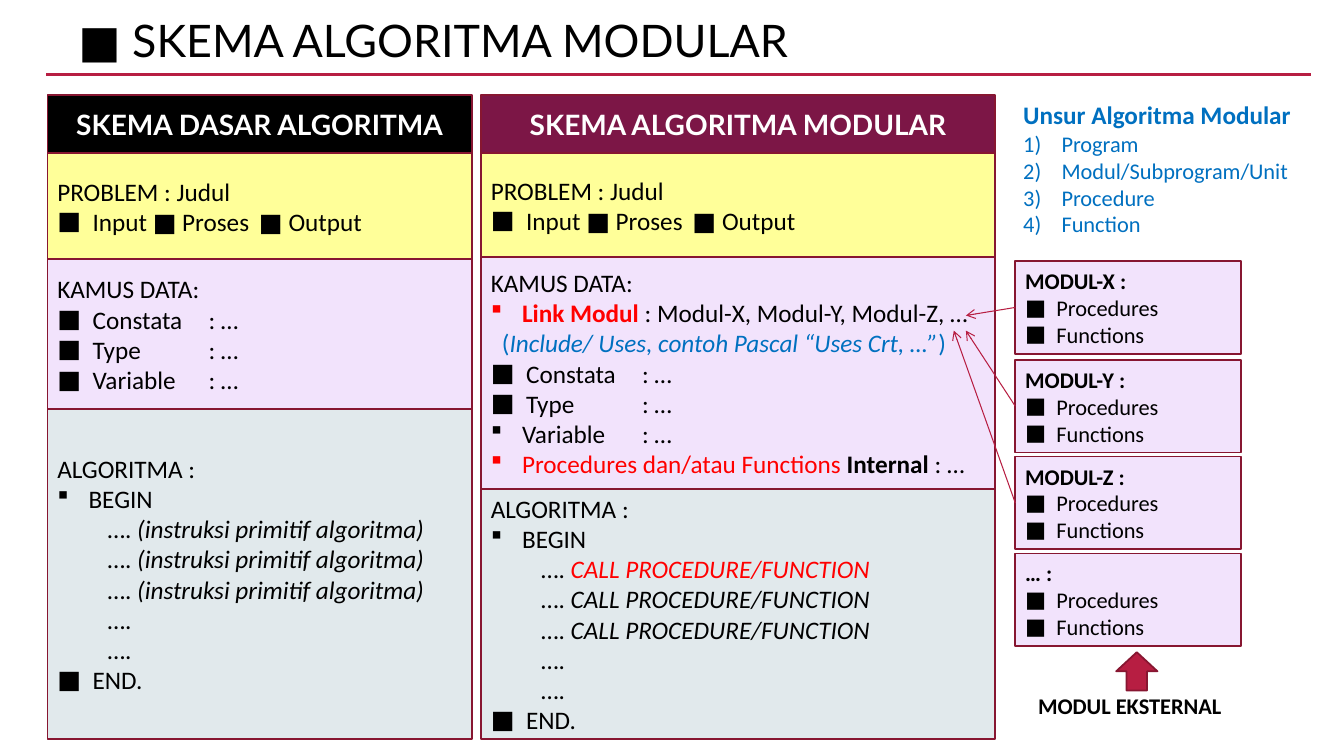
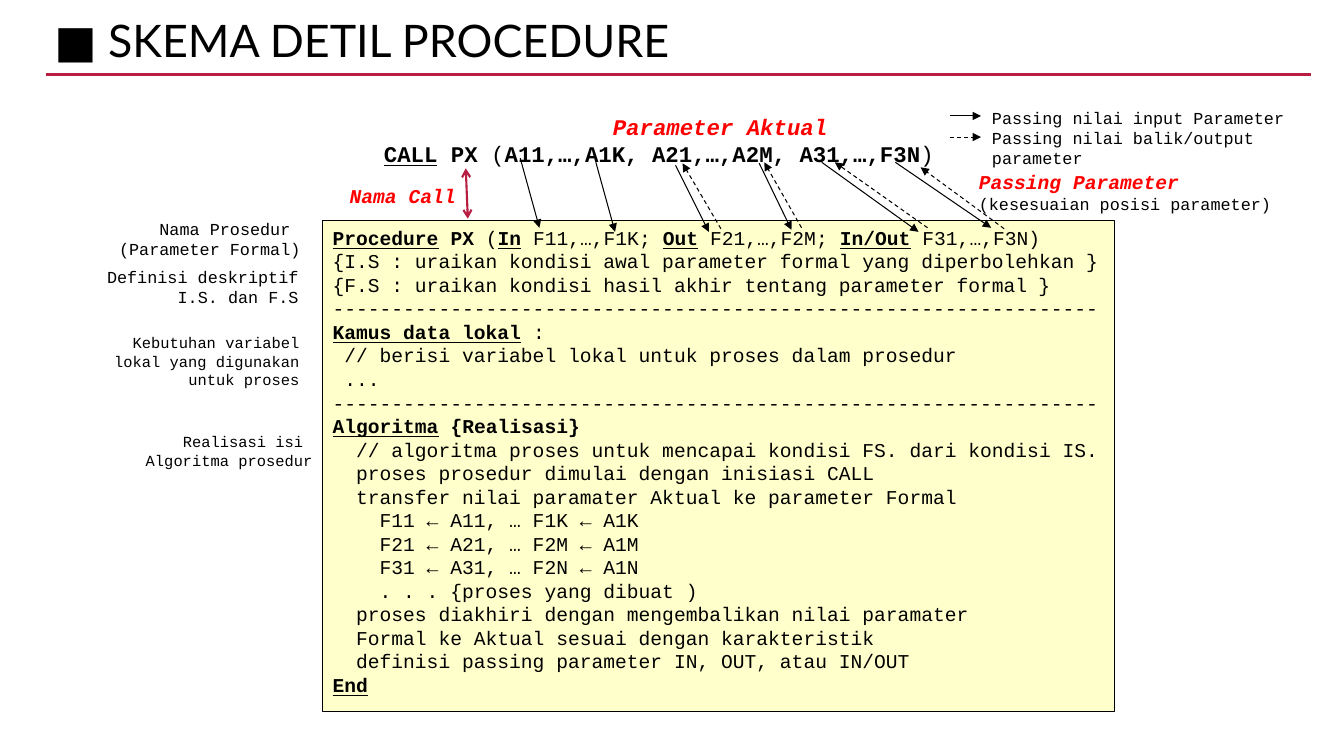
from dataclasses import dataclass

import pptx
import pptx.dml.color
import pptx.enum.dml
import pptx.enum.shapes
import pptx.enum.text
import pptx.oxml.ns
import pptx.util
from lxml import etree

SHAPE = pptx.enum.shapes.MSO_SHAPE
ANCHOR = pptx.enum.text.MSO_ANCHOR
ALIGN = pptx.enum.text.PP_ALIGN
COLUMNS, ROWS = 133.3, 75  # grid of tenth-inch cells


@dataclass(frozen=True)
class Theme:
    heading: str = "Lato"
    body: str = "Calibri"
    code: str = "Courier New"
    black: str = "000000"
    white: str = "FFFFFF"
    red: str = "FF0000"
    blue: str = "0070C0"
    accent: str = "B71E42"
    border: str = "871631"
    plum: str = "7C1646"
    yellow: str = "FFFF99"
    cream: str = "FFFFCC"
    lilac: str = "F2E3FC"
    grey: str = "E1E9EC"
    title_size: int = 32
    header_size: int = 20
    text_size: int = 18
    small_size: int = 16
    code_size: int = 14
    note_size: int = 12
    label_size: int = 11


THEME = Theme()


@dataclass(frozen=True)
class Box:
    left: float
    top: float
    width: float
    height: float

    def inner(self, left, top, width, height):
        return Box(self.left + left, self.top + top, width, height)

    def point(self, x, y):
        return self.left + x, self.top + y


@dataclass(frozen=True)
class Span:
    """A run; marks holds any of b, i and u."""
    text: str
    marks: str = ""
    color: str = THEME.black


@dataclass(frozen=True)
class Line:
    """A paragraph; bullet is big, small, number or empty."""
    spans: tuple
    bullet: str = ""
    indent: float = 0
    tab: float = 0


def line(*spans, **layout):
    return Line(tuple(s if isinstance(s, Span) else Span(s) for s in spans), **layout)


def cells(count):
    return pptx.util.Inches(round(count / 10, 3))


def rgb(color):
    return pptx.dml.color.RGBColor.from_string(color)


def add_child(parent, tag, **attributes):
    return etree.SubElement(parent, pptx.oxml.ns.qn(tag), attributes)


def format_paragraph(para, entry):
    """Set indent, bullet and tab stop."""
    props = para._p.get_or_add_pPr()
    indent = cells(entry.indent)
    props.set("marL", str(indent))
    props.set("indent", str(-indent if entry.bullet else 0))
    if entry.bullet == "number":
        add_child(props, "a:buAutoNum", type="arabicParenR")
    elif entry.bullet:
        font, char = {"big": (THEME.body, "■"), "small": ("Wingdings", "§")}[entry.bullet]
        add_child(props, "a:buFont", typeface=font)
        add_child(props, "a:buChar", char=char)
    else:
        add_child(props, "a:buNone")
    if entry.tab:
        tabs = add_child(props, "a:tabLst")
        add_child(tabs, "a:tab", pos=str(cells(entry.tab)), algn="l")


def write(shape, lines, size, font=THEME.body, align=ALIGN.LEFT, anchor=ANCHOR.TOP,
          wrap=True, first_size=None, spacing=None):
    frame = shape.text_frame
    frame.word_wrap = wrap
    frame.vertical_anchor = anchor
    for index, entry in enumerate(lines):
        para = frame.add_paragraph() if index else frame.paragraphs[0]
        format_paragraph(para, entry)
        para.alignment = align
        if spacing:
            para.line_spacing = spacing
        for source in entry.spans:
            span = para.add_run()
            span.text = source.text
            span.font.name = font
            span.font.size = pptx.util.Pt(size if index or not first_size else first_size)
            span.font.bold = "b" in source.marks
            span.font.italic = "i" in source.marks
            span.font.underline = "u" in source.marks
            span.font.color.rgb = rgb(source.color)


def place(box):
    return [cells(n) for n in (box.left, box.top, box.width, box.height)]


def add_text(page, box, lines, size, **style):
    write(page.shapes.add_textbox(*place(box)), lines, size, **style)


def add_panel(page, box, fill, border=THEME.border, weight=1.25, kind=SHAPE.RECTANGLE):
    panel = page.shapes.add_shape(kind, *place(box))
    panel.shadow.inherit = False
    panel.fill.solid()
    panel.fill.fore_color.rgb = rgb(fill)
    if border:
        panel.line.color.rgb = rgb(border)
        panel.line.width = pptx.util.Pt(weight)
    else:
        panel.line.fill.background()
    return panel


def add_line(page, start, end, color=THEME.black, weight=0.75, head="", tail="", dashed=False):
    link = page.shapes.add_connector(pptx.enum.shapes.MSO_CONNECTOR.STRAIGHT,
                                     *[cells(n) for n in (*start, *end)])
    link.line.color.rgb = rgb(color)
    link.line.width = pptx.util.Pt(weight)
    if dashed:
        link.line.dash_style = pptx.enum.dml.MSO_LINE.DASH
    outline = link.line._get_or_add_ln()
    for tag, arrow in (("a:headEnd", head), ("a:tailEnd", tail)):
        if arrow:
            add_child(outline, tag, type=arrow)
    add_child(link._element.spPr, "a:effectLst")
    return link


def add_page(deck, title, left):
    page = deck.slides.add_slide(deck.slide_layouts[6])
    add_line(page, (4.6, 7.4), (130, 7.4), THEME.accent, 2.5)
    add_text(page, Box(left, 1.4, 124, 5.4), [line("■ " + title)], THEME.title_size,
             font=THEME.heading, spacing=0.9)
    return page


def add_schema(page, box, header, header_fill, heights, sections):
    """Stack a header and three sections down the box."""
    fills = (header_fill, THEME.yellow, THEME.lilac, THEME.grey)
    content = [[line(Span(header, "b", THEME.white))], *sections]
    top = 0
    for index, (fill, height, lines) in enumerate(zip(fills, heights, content)):
        panel = add_panel(page, box.inner(0, top, box.width, height), fill)
        if index:
            write(panel, lines, THEME.text_size, anchor=ANCHOR.MIDDLE)
        else:
            write(panel, lines, THEME.header_size, font=THEME.heading,
                  align=ALIGN.CENTER, anchor=ANCHOR.MIDDLE)
        top += height


def big(*spans):
    return line(*spans, bullet="big", indent=3.5)


def small(*spans):
    return line(*spans, bullet="small", indent=3.1)


def algorithm(steps):
    return [line("ALGORITMA :"), small("BEGIN"),
            *[line("…. ", step, indent=5) for step in steps],
            *[line("….", indent=5)] * 2, big("END.")]


def add_modules(page, box, names, targets):
    """Stack the external modules and link them to their targets."""
    tops = (0, 9.8, 19.4, 29)
    members = [line(text, bullet="big", indent=3.1) for text in ("Procedures", "Functions")]
    panels = []
    for name, top in zip(names, tops):
        panel = add_panel(page, box.inner(0, top, box.width, 9.2), THEME.lilac)
        write(panel, [line(Span(name + " :", "b")), *members], THEME.small_size,
              anchor=ANCHOR.MIDDLE)
        panels.append(panel)
    for panel, top, target in zip(panels, tops, targets):
        link = add_line(page, box.point(0, top + 4.6), target, THEME.accent, tail="arrow")
        link.begin_connect(panel, 1)
    add_text(page, box.inner(-0.3, 40.7, 23.3, 6.8), [line(Span("MODUL EKSTERNAL", "b"))],
             THEME.small_size, align=ALIGN.CENTER, anchor=ANCHOR.MIDDLE)
    add_panel(page, box.inner(10, 38.8, 4.1, 3.8), THEME.accent, kind=SHAPE.UP_ARROW)


def add_elements(page, box):
    items = ("Program", "Modul/Subprogram/Unit", "Procedure", "Function")
    lines = [line(Span("Unsur Algoritma Modular", "b", THEME.blue))]
    lines += [line(Span(item, "", THEME.blue), bullet="number", indent=3.8) for item in items]
    add_text(page, box, lines, THEME.small_size, first_size=THEME.text_size, wrap=False)


def modular_slide(deck):
    page = add_page(deck, "SKEMA ALGORITMA MODULAR", 6.8)
    problem = [line("PROBLEM : Judul"), big("Input ■ Proses\t■ Output")]
    fields = [big("Constata\t: …"), big("Type\t\t: …")]
    add_schema(page, Box(4.7, 9.4, 42.1, 63.9), "SKEMA DASAR ALGORITMA", THEME.black,
               (5.8, 10.5, 14.9, 32.7),
               [problem, [line("KAMUS DATA:"), *fields, big("Variable\t: …")],
                algorithm([Span("(instruksi primitif algoritma)", "i")] * 3)])
    dictionary = [
        line("KAMUS DATA:"),
        small(Span("Link Modul", "b", THEME.red), " : Modul-X, Modul-Y, Modul-Z, …"),
        line(Span("(", "", THEME.blue),
             Span("Include/ Uses, contoh Pascal “Uses Crt, …”", "i", THEME.blue),
             Span(")", "", THEME.blue), indent=1.1),
        *fields, small("Variable\t: …"),
        small(Span("Procedures dan/atau Functions ", "", THEME.red),
              Span("Internal", "b"), " : …")]
    call = "CALL PROCEDURE/FUNCTION"
    add_schema(page, Box(47.7, 9.4, 51, 63.9), "SKEMA ALGORITMA MODULAR", THEME.plum,
               (5.8, 10.3, 23, 24.8),
               [problem, dictionary,
                algorithm([Span(call, "i", THEME.red), Span(call, "i"), Span(call, "i")])])
    add_modules(page, Box(100.7, 25.9, 22.4, 47.5), ("MODUL-X", "MODUL-Y", "MODUL-Z", "…"),
                ((95.8, 31.3), (95.8, 32.8), (94.6, 32.8)))
    add_elements(page, Box(100.5, 9.4, 28.8, 14.8))


def add_side_labels(page, box):
    labels = (
        (0, 0, 22.3, THEME.note_size, ("Nama Prosedur ", "(Parameter Formal)")),
        (-1.4, 4.8, 23.5, THEME.note_size, ("Definisi deskriptif", "I.S. dan F.S")),
        (0.2, 11.4, 22, THEME.label_size,
         ("Kebutuhan variabel lokal yang digunakan untuk proses",)),
        (1.5, 21.2, 22, THEME.label_size, ("Realisasi isi ", "Algoritma prosedur")))
    for left, top, width, size, texts in labels:
        add_text(page, box.inner(left, top, width, 6), [line(text) for text in texts], size,
                 font=THEME.code, align=ALIGN.RIGHT)


def add_procedure(page, box):
    rule = line("-" * 65)
    plain = """  // algoritma proses untuk mencapai kondisi FS. dari kondisi IS.
  proses prosedur dimulai dengan inisiasi CALL
  transfer nilai paramater Aktual ke parameter Formal
    F11 ← A11, … F1K ← A1K
    F21 ← A21, … F2M ← A1M
    F31 ← A31, … F2N ← A1N
    . . . {proses yang dibuat )
  proses diakhiri dengan mengembalikan nilai paramater
  Formal ke Aktual sesuai dengan karakteristik
  definisi passing parameter IN, OUT, atau IN/OUT"""
    lines = [
        line(Span("Procedure", "bu"), " ", Span("PX", "b"), " (", Span("In", "bu"),
             " F11,…,F1K; ", Span("Out", "bu"), " F21,…,F2M; ", Span("In/Out", "bu"),
             " F31,…,F3N)"),
        line("{I.S : uraikan kondisi awal parameter formal yang diperbolehkan }"),
        line("{F.S : uraikan kondisi hasil akhir tentang parameter formal\t}", tab=74.7),
        rule,
        line(Span("Kamus data lokal", "bu"), " :"),
        line(" // berisi variabel lokal untuk proses dalam prosedur"),
        line(" ..."),
        rule,
        line(Span("Algoritma", "bu"), Span(" {Realisasi}", "b")),
        *[line(text) for text in plain.splitlines()],
        line(Span("End", "bu"))]
    write(add_panel(page, box, THEME.cream, THEME.black, 0.5), lines, THEME.code_size,
          font=THEME.code)


def add_call(page, box):
    """Show the call and the arrows down to the formal parameters."""
    lines = [line(Span("Parameter Aktual", "bi", THEME.red), indent=22.7),
             line(Span("CALL", "bu"), " ", Span("PX ", "b"), "(",
                  Span("A11,…,A1K, A21,…,A2M, A31,…,F3N", "b"), ")")]
    write(add_panel(page, box, THEME.white, None), lines, THEME.small_size, font=THEME.code)
    inputs = ((14.5, 5, 16.4, 11.9), (22, 5.4, 23.9, 12.3), (29.9, 5.7, 33.2, 12.3),
              (38.2, 5.5, 41.4, 12.1), (44.4, 5.4, 54, 12.3), (51.7, 5.4, 61.2, 11.9))
    outputs = ((34.4, 12, 30.6, 5.5), (42.4, 11.9, 38.7, 5.4),
               (54.9, 11.9, 45.7, 5.4), (62.5, 12, 54.2, 5.9))
    for arrows, dashed in ((inputs, False), (outputs, True)):
        for x1, y1, x2, y2 in arrows:
            add_line(page, box.point(x1, y1), box.point(x2, y2), tail="triangle", dashed=dashed)
    add_line(page, box.point(9.1, 6), box.point(9.3, 11), THEME.accent, 1.5, "arrow", "arrow")
    add_text(page, box.inner(-3.5, 7.1, 12.6, 3.4), [line(Span("Nama Call", "bi", THEME.red))],
             THEME.code_size, font=THEME.code, align=ALIGN.RIGHT, wrap=False)


def add_legend(page, box):
    texts = ("Passing nilai input Parameter", "Passing nilai balik/output parameter")
    add_text(page, box.inner(0, 0, box.width, 6.1), [line(text, indent=3.8) for text in texts],
             THEME.note_size, font=THEME.code)
    for y, dashed in ((1.3, False), (3.4, True)):
        add_line(page, box.point(0.6, y), box.point(3.7, y), tail="triangle", dashed=dashed)
    add_text(page, box.inner(2.5, 6.2, 31.5, 5.4),
             [line(Span("Passing Parameter", "bi", THEME.red)),
              line("(kesesuaian posisi parameter)")],
             THEME.note_size, first_size=THEME.code_size, font=THEME.code, wrap=False)


def procedure_slide(deck):
    page = add_page(deck, "SKEMA DETIL PROCEDURE", 4.4)
    add_side_labels(page, Box(8.5, 21.2, 23.5, 26.3))
    add_procedure(page, Box(32, 21.9, 78.5, 48.7))
    add_call(page, Box(37.1, 10.7, 73, 6.9))
    add_legend(page, Box(93.6, 10.2, 35.1, 11.6))


def main():
    deck = pptx.Presentation()
    deck.slide_width, deck.slide_height = cells(COLUMNS), cells(ROWS)
    modular_slide(deck)
    procedure_slide(deck)
    deck.save("out.pptx")


if __name__ == "__main__":
    main()
